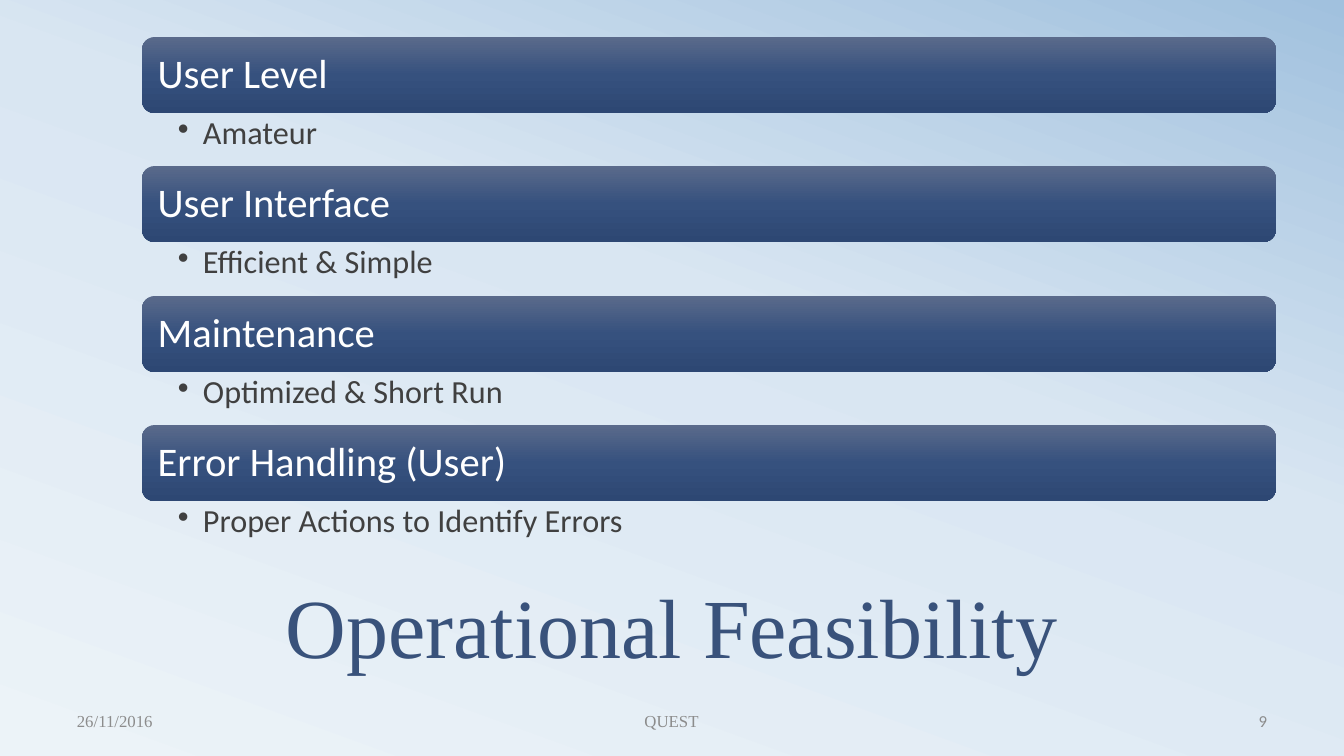
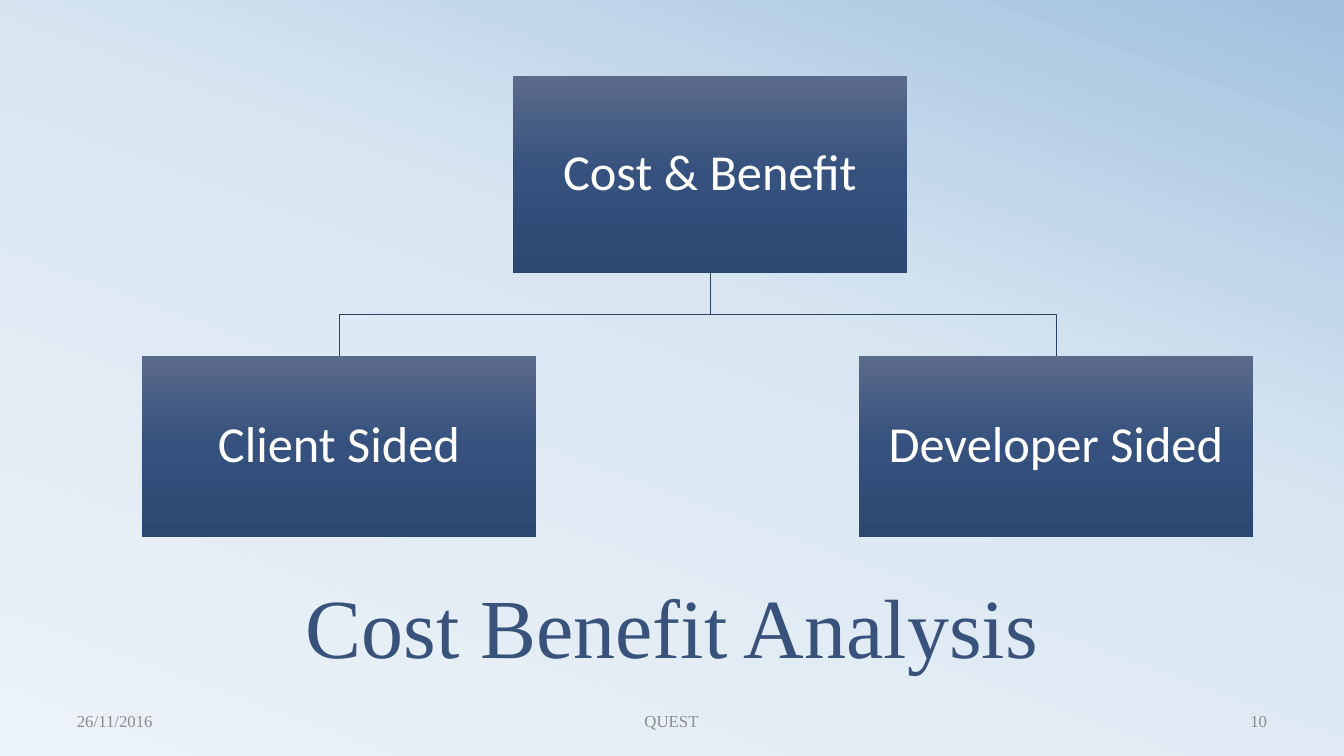
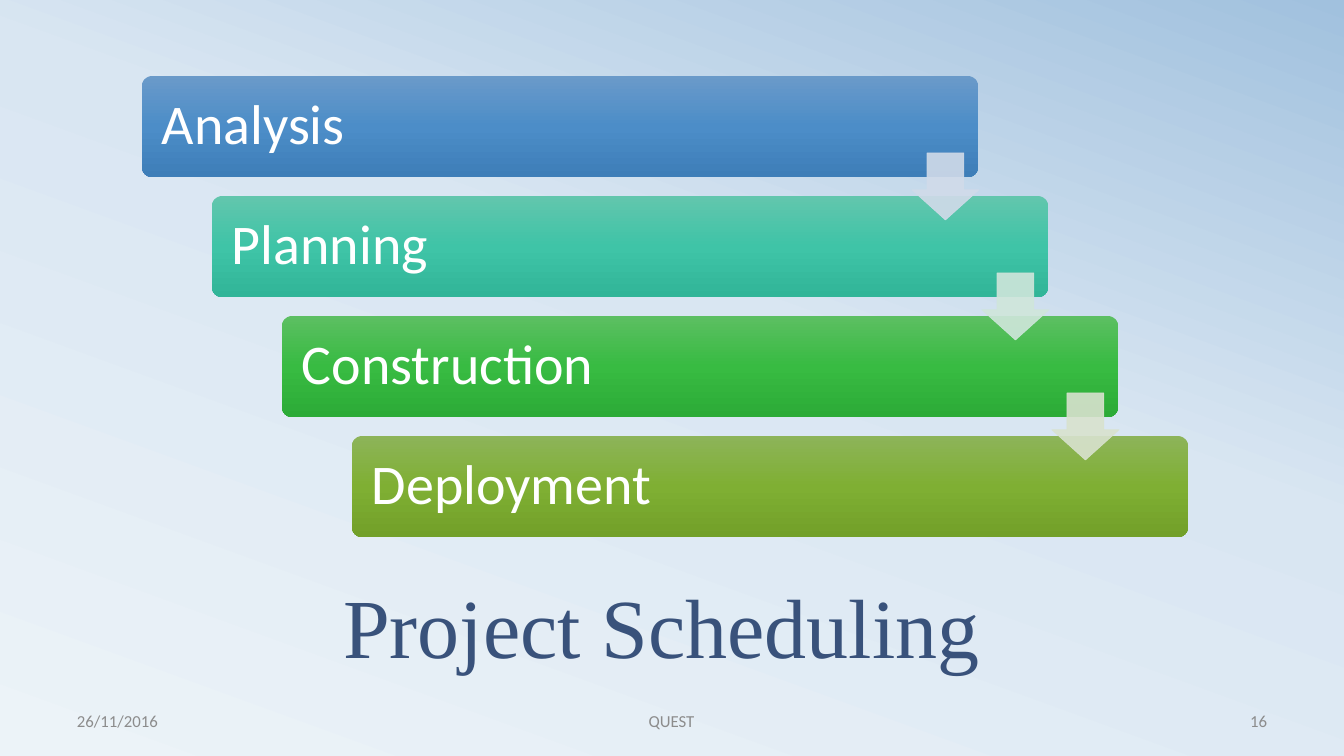
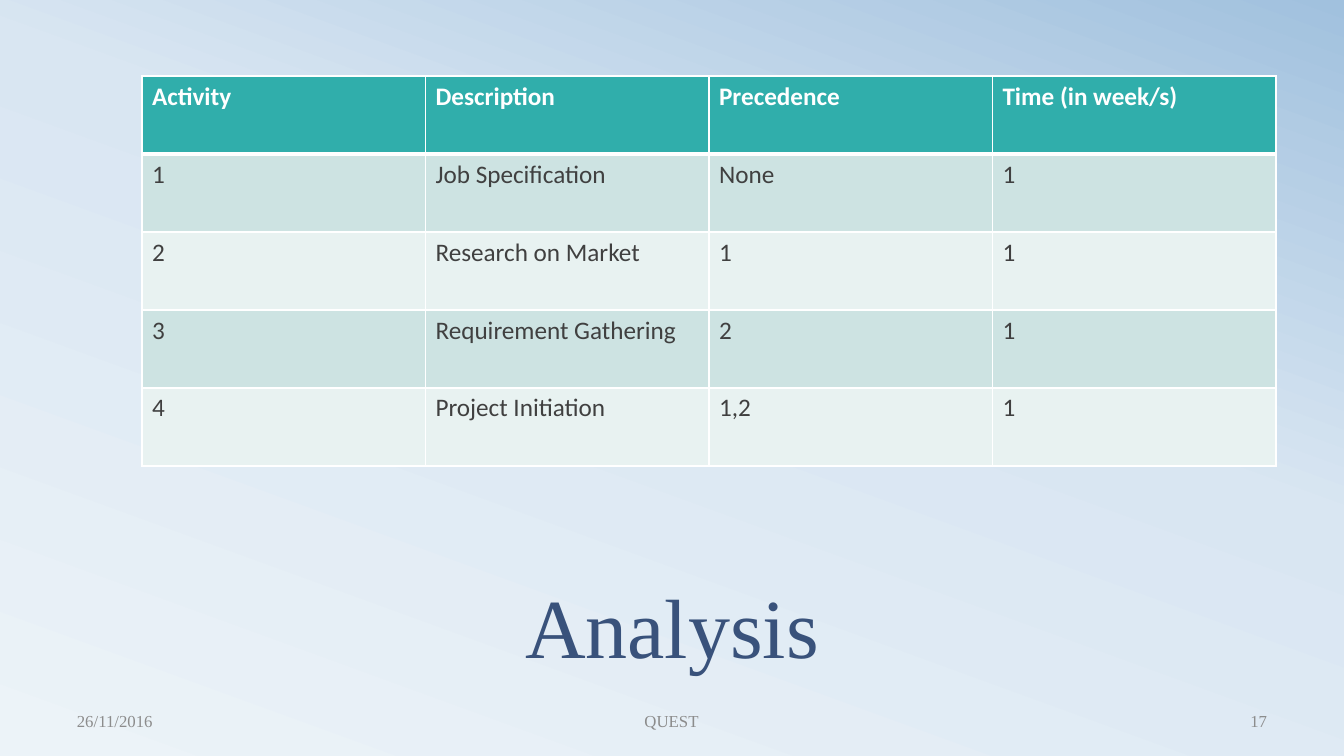
from copy import deepcopy

from lxml import etree
from pptx import Presentation
from pptx.dml.color import RGBColor
from pptx.enum.shapes import MSO_SHAPE
from pptx.enum.text import MSO_ANCHOR, PP_ALIGN
from pptx.oxml.ns import qn
from pptx.util import Pt

PX = 9071  # EMU in one px, at 100.8 px to the inch
LEFT, CENTER, RIGHT = PP_ALIGN.LEFT, PP_ALIGN.CENTER, PP_ALIGN.RIGHT
TOP, MIDDLE, BOTTOM = MSO_ANCHOR.TOP, MSO_ANCHOR.MIDDLE, MSO_ANCHOR.BOTTOM
RECT, ROUND_RECT = MSO_SHAPE.RECTANGLE, MSO_SHAPE.ROUNDED_RECTANGLE
DOWN_ARROW = MSO_SHAPE.DOWN_ARROW
SANS, SERIF = "Calibri", "Times New Roman"

WHITE = RGBColor(0xFF, 0xFF, 0xFF)
TITLE = RGBColor(0x39, 0x52, 0x7B)
BODY = RGBColor(0x40, 0x40, 0x40)
FOOTER = RGBColor(0x8C, 0x8C, 0x8C)
TREE_LINE = RGBColor(0x2E, 0x42, 0x63)
HEADER_FILL = RGBColor(0x30, 0xAE, 0xAB)
BAND_FILLS = [RGBColor(0xE8, 0xF2, 0xF1), RGBColor(0xCD, 0xE3, 0xE2)]
ARROW_FILLS = [RGBColor(0xD1, 0xDB, 0xE9), RGBColor(0xCF, 0xE6, 0xDB), RGBColor(0xD8, 0xE2, 0xCE)]
SKY = [RGBColor(0xEC, 0xF3, 0xF8), RGBColor(0xD9, 0xE6, 0xF2), RGBColor(0xA1, 0xC1, 0xDE)]
NAVY = [RGBColor(0x5A, 0x6A, 0x8B), RGBColor(0x36, 0x51, 0x7E), RGBColor(0x2D, 0x47, 0x73)]
BLUE = [RGBColor(0x6A, 0x9A, 0xC9), RGBColor(0x4C, 0x8D, 0xC8), RGBColor(0x3E, 0x7E, 0xB8)]
TEAL = [RGBColor(0x62, 0xC6, 0xAD), RGBColor(0x3F, 0xC4, 0xA7), RGBColor(0x31, 0xB5, 0x98)]
GREEN = [RGBColor(0x5C, 0xBF, 0x62), RGBColor(0x38, 0xBB, 0x42), RGBColor(0x2C, 0xAB, 0x37)]
OLIVE = [RGBColor(0x8D, 0xB4, 0x59), RGBColor(0x7F, 0xAF, 0x33), RGBColor(0x72, 0xA0, 0x29)]


def set_gradient(fill, element, colors, middle, angle):
    """Fill with three colours; angle is clockwise, element holds the fill."""
    fill.gradient()
    fill.gradient_angle = 360 - angle
    stops = next(element.iter(qn("a:gsLst")))
    stops.append(deepcopy(stops[-1]))
    for stop, color, position in zip(fill.gradient_stops, colors, (0, middle, 1)):
        stop.color.rgb = color
        stop.position = position


def write(tf, text, size, color, font=SANS, align=LEFT, anchor=MIDDLE, spacing=1.0):
    tf.text = text
    tf.word_wrap = True
    tf.vertical_anchor = anchor
    p = tf.paragraphs[0]
    p.alignment = align
    p.line_spacing = spacing
    r = p.runs[0]
    r.font.size = Pt(size)
    r.font.name = font
    r.font.color.rgb = color
    return p


prs = Presentation()
prs.slide_width, prs.slide_height = 1344 * PX, 756 * PX
master = prs.slide_master
set_gradient(master.background.fill, master.element, SKY, 0.58, 290)

# Title and footer of every slide
slides = []
for title, number, footer_font, number_font in [
    ("Operational Feasibility", "9", SERIF, SANS),
    ("Cost Benefit Analysis", "10", SERIF, SERIF),
    ("Project Scheduling ", "16", SANS, SANS),
    ("Analysis", "17", SERIF, SERIF),
]:
    s = prs.slides.add_slide(prs.slide_layouts[6])
    slides.append(s)
    sp = s.shapes.add_textbox(67 * PX, 562 * PX, 1210 * PX, 118 * PX)
    write(sp.text_frame, title, 60, TITLE, SERIF, CENTER, BOTTOM, 0.8)
    for x, w, text, font, align in [
        (67, 314, "26/11/2016", footer_font, LEFT),
        (459, 425, "QUEST", footer_font, CENTER),
        (963, 314, number, number_font, RIGHT),
    ]:
        sp = s.shapes.add_textbox(x * PX, 701 * PX, w * PX, 40 * PX)
        write(sp.text_frame, text, 12, FOOTER, font, align)
feasibility, cost, schedule, analysis = slides

# Gradient boxes: slide, shape, x, y, w, h, text, size, align, inset, colours
boxes = []

# Feasibility: bars with a bullet under each
for i, (heading, detail) in enumerate([
    ("User Level", "Amateur"),
    ("User Interface", "Efficient & Simple"),
    ("Maintenance", "Optimized & Short Run"),
    ("Error Handling (User)", "Proper Actions to Identify Errors"),
]):
    y = 37 + 259 * i // 2
    boxes.append((feasibility, ROUND_RECT, 142, y, 1134, 76, heading, 29, LEFT, 12, NAVY))
    sp = feasibility.shapes.add_textbox(142 * PX, (y + 76) * PX, 1134 * PX, 53 * PX)
    tf = sp.text_frame
    tf.margin_left, tf.margin_right = 36 * PX, 23 * PX
    tf.margin_top = tf.margin_bottom = 4 * PX
    p = write(tf, detail, 23, BODY, anchor=TOP, spacing=0.9)
    pPr = p._p.get_or_add_pPr()
    pPr.set("marL", str(25 * PX))
    pPr.set("indent", str(-25 * PX))
    etree.SubElement(pPr, qn("a:buChar"), char="•")

# Cost and benefit: a tree with two branches
boxes.append((cost, RECT, 513, 76, 394, 197, "Cost & Benefit", 36, CENTER, 3, NAVY))
for x, text in [(142, "Client Sided"), (859, "Developer Sided")]:
    boxes.append((cost, RECT, x, 356, 394, 181, text, 36, CENTER, 3, NAVY))
    middle = x + 197
    branch = cost.shapes.build_freeform(710, 273, scale=PX)
    branch.add_line_segments([(710, 314), (middle, 314), (middle, 356)], close=False)
    sp = branch.convert_to_shape()
    sp.shadow.inherit = False
    sp.fill.background()
    sp.line.color.rgb = TREE_LINE
    sp.line.width = Pt(0.5)

# Scheduling: descending steps
for i, (text, colors) in enumerate([
    ("Analysis", BLUE), ("Planning", TEAL), ("Construction", GREEN), ("Deployment", OLIVE),
]):
    boxes.append((schedule, ROUND_RECT, 142 + 70 * i, 76 + 120 * i, 836, 101,
                  text, 40, LEFT, 17, colors))

for s, kind, x, y, w, h, text, size, align, inset, colors in boxes:
    sp = s.shapes.add_shape(kind, x * PX, y * PX, w * PX, h * PX)
    sp.shadow.inherit = False
    sp.line.fill.background()
    set_gradient(sp.fill, sp.element, colors, 0.5, 90)
    if s is schedule:
        sp.adjustments[0] = 0.1
    tf = sp.text_frame
    tf.margin_left = tf.margin_right = tf.margin_top = tf.margin_bottom = inset * PX
    write(tf, text, size, WHITE, align=align, spacing=0.9)

# Arrows between the steps
for i, color in enumerate(ARROW_FILLS):
    sp = schedule.shapes.add_shape(
        DOWN_ARROW, (912 + 70 * i) * PX, (153 + 120 * i) * PX, 67 * PX, 67 * PX)
    sp.adjustments[0], sp.adjustments[1] = 0.55, 0.45
    sp.shadow.inherit = False
    sp.fill.solid()
    sp.fill.fore_color.rgb = color
    sp.line.color.rgb = color
    sp.line.width = Pt(0.5)
    for clr in sp.element.spPr.iter(qn("a:srgbClr")):
        etree.SubElement(clr, qn("a:alpha"), val="90000")

# Analysis: table of activities
rows = [
    ("Activity", "Description", "Precedence", "Time (in week/s)"),
    ("1", "Job Specification", "None", "1"),
    ("2", "Research on Market", "1", "1"),
    ("3", "Requirement Gathering", "2", "1"),
    ("4", "Project Initiation", "1,2", "1"),
]
table = analysis.shapes.add_table(5, 4, 142 * PX, 76 * PX, 1134 * PX, 390 * PX).table
for i, row in enumerate(rows):
    for j, text in enumerate(row):
        cell = table.cell(i, j)
        p = write(cell.text_frame, text, 18, BODY if i else WHITE, anchor=TOP)
        p.runs[0].font.bold = i == 0
        tcPr = cell._tc.get_or_add_tcPr()
        for side in ("L", "R", "T", "B"):
            thick = (i, side) in [(0, "B"), (1, "T")]
            ln = etree.SubElement(tcPr, qn("a:ln" + side), w=str(Pt(3 if thick else 1)))
            solid = etree.SubElement(ln, qn("a:solidFill"))
            etree.SubElement(solid, qn("a:srgbClr"), val=str(WHITE))
        cell.fill.solid()
        cell.fill.fore_color.rgb = BAND_FILLS[i % 2] if i else HEADER_FILL

prs.save("out.pptx")
